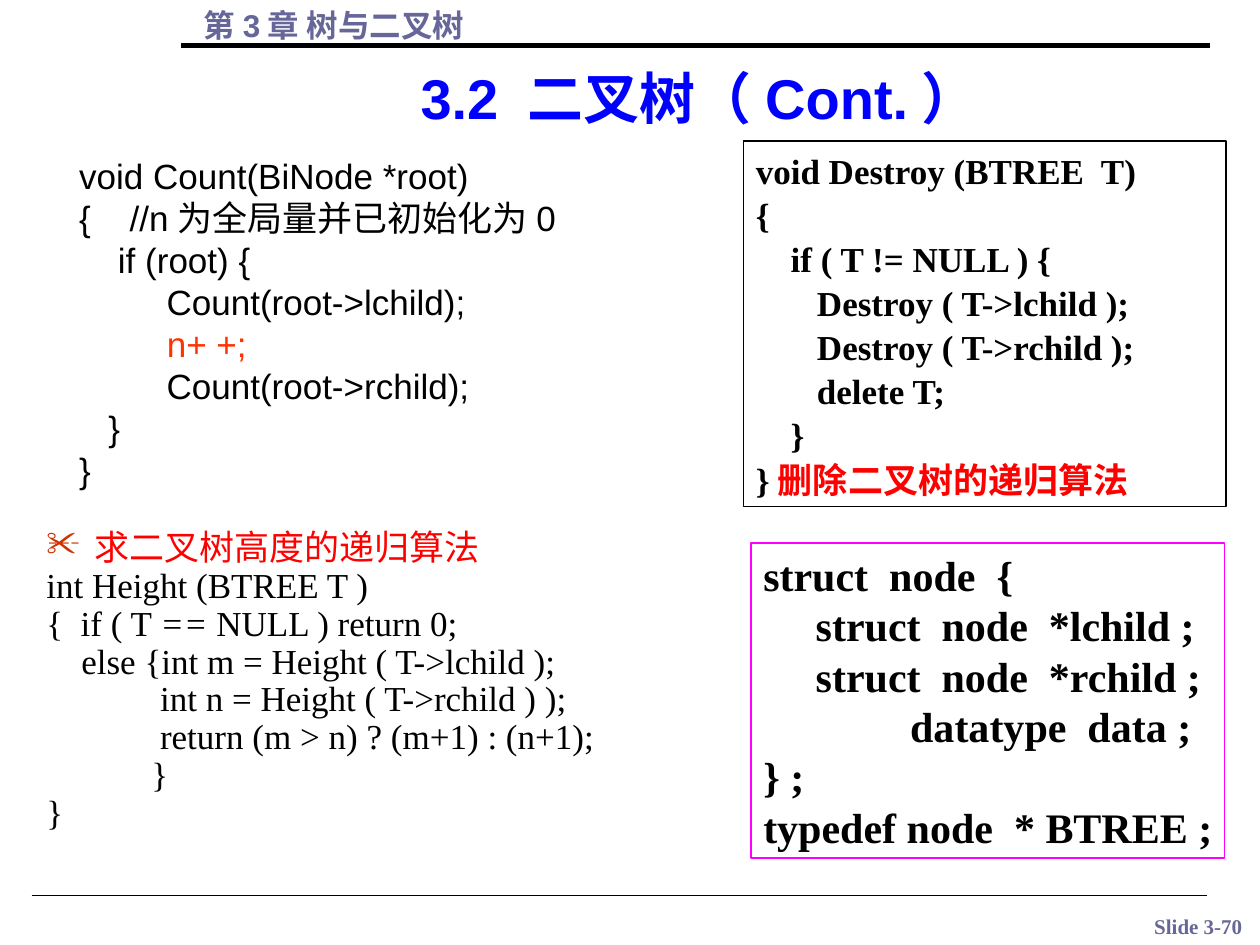
from pptx import Presentation
from pptx import util as u
from pptx.dml.color import RGBColor
from pptx.enum import shapes, text
from pptx.oxml.xmlchemy import OxmlElement

PX = 9144
BLACK = RGBColor(0x00, 0x00, 0x00)
BLUE = RGBColor(0x00, 0x00, 0xFF)
SLATE = RGBColor(0x66, 0x66, 0x99)
RED = RGBColor(0xFF, 0x00, 0x00)
ORANGE = RGBColor(0xFF, 0x33, 0x00)
PINK = RGBColor(0xFF, 0x00, 0xFF)
SERIF, SANS = "Times New Roman", "Arial"

COUNT = [
    "void Count(BiNode *root)",
    "{    //n为全局量并已初始化为0",
    "    if (root) {",
    "         Count(root->lchild);",
    [("         ", {}), ("n+ +;", {"color": ORANGE})],
    "         Count(root->rchild);",
    "   }",
    "}",
]
HEIGHT = [
    [("求二叉树高度的递归算法", {"color": RED})],
    "int Height (BTREE T )",
    [("{  if ( T ", {}), ("==", {"italic": True}), (" NULL ) return 0;", {})],
    "    else {int m = Height ( T->lchild );",
    "             int n = Height ( T->rchild ) );",
    "             return (m > n) ? (m+1) : (n+1);",
    "            }",
    "}",
]
DESTROY = [
    "void Destroy (BTREE  T)",
    "{",
    "    if ( T != NULL ) {",
    "       Destroy ( T->lchild );",
    "       Destroy ( T->rchild );",
    "       delete T;",
    "    }",
    [("}", {}), ("删除二叉树的递归算法", {"name": SANS, "color": RED})],
]
NODE = [
    "struct  node  {",
    "     struct  node  *lchild ;",
    "     struct  node  *rchild ;",
    "              datatype  data ;",
    "} ;",
    "typedef node  * BTREE ;",
]


def style(font, form):
    for key, val in form.items():
        if key == "color":
            font.color.rgb = val
        else:
            setattr(font, key, val)


def look(size, name=SERIF, color=BLACK, bold=False):
    return {"size": u.Pt(size), "name": name, "color": color, "bold": bold}


def hang(para, depth):
    props = para._p.get_or_add_pPr()
    props.set("marL", str(depth * PX))
    props.set("indent", str(-depth * PX))


def mark(para, sign, color):
    props = para._p.get_or_add_pPr()
    tint = OxmlElement("a:buClr")
    rgb = OxmlElement("a:srgbClr")
    rgb.set("val", color)
    tint.append(rgb)
    char = OxmlElement("a:buChar")
    char.set("char", sign)
    props.extend([tint, char])


def write(shape, lines, form, wrap=True, fit=True, depth=0,
          align=text.PP_ALIGN.LEFT, space=1.0, anchor=text.MSO_ANCHOR.TOP):
    frame = shape.text_frame
    frame.word_wrap = wrap
    frame.vertical_anchor = anchor
    frame.auto_size = (text.MSO_AUTO_SIZE.SHAPE_TO_FIT_TEXT if fit
                       else text.MSO_AUTO_SIZE.NONE)
    for num, line in enumerate(lines):
        para = frame.add_paragraph() if num else frame.paragraphs[0]
        para.alignment = align
        para.line_spacing = space
        if depth:
            hang(para, depth)
        for words, extra in [(line, {})] if isinstance(line, str) else line:
            run = para.add_run()
            run.text = words
            style(run.font, {**form, **extra})
    return frame


def label(slide, box, lines, form, **rest):
    shape = slide.shapes.add_textbox(*(n * PX for n in box))
    return write(shape, lines, form, **rest)


def panel(slide, box, lines, form, color, width, **rest):
    shape = slide.shapes.add_shape(shapes.MSO_SHAPE.RECTANGLE,
                                   *(n * PX for n in box))
    shape.shadow.inherit = False
    shape.fill.background()
    shape.line.color.rgb = color
    shape.line.width = u.Pt(width)
    frame = write(shape, lines, form, fit=False, **rest)
    frame.margin_right = 0


def rule(slide, left, top, span, width):
    line = slide.shapes.add_connector(
        shapes.MSO_CONNECTOR.STRAIGHT,
        left * PX, top * PX, (left + span) * PX, top * PX)
    line.line.color.rgb = BLACK
    line.line.width = u.Pt(width)
    line._element.spPr.append(OxmlElement("a:effectLst"))


def header(slide, left, top, span):
    label(slide, (left + 8, top, span - 13, 40), ["第3章 树与二叉树"],
          look(18, SANS, SLATE, True))
    rule(slide, left, top + 36, span, 3)
    label(slide, (left - 8, top + 42, span + 22, 67), ["3.2 二叉树（Cont.）"],
          look(32, SANS, BLUE, True), fit=False,
          align=text.PP_ALIGN.CENTER, anchor=text.MSO_ANCHOR.BOTTOM)


def footer(slide, left, top, span):
    rule(slide, left, top, span, 0.75)
    label(slide, (left + 852, top + 9, 148, 30), ["Slide 3-70"],
          look(12, color=SLATE, bold=True), wrap=False,
          align=text.PP_ALIGN.CENTER)


def height(slide, box):
    frame = label(slide, box, HEIGHT, look(20), fit=False, depth=38, space=0.9)
    mark(frame.paragraphs[0], "✂", "CC3300")


def main():
    deck = Presentation()
    deck.slide_width, deck.slide_height = 1000 * PX, 750 * PX
    slide = deck.slides.add_slide(deck.slide_layouts[6])
    header(slide, 144, 0, 816)
    footer(slide, 25, 711, 933)
    height(slide, (27, 416, 580, 298))
    panel(slide, (596, 431, 376, 250), NODE, look(24, bold=True), PINK, 1)
    panel(slide, (590, 112, 383, 290), DESTROY, look(20, bold=True), BLACK,
          0.75, space=1.05)
    label(slide, (53, 118, 500, 277), COUNT, look(20, SANS), depth=38)
    deck.save("out.pptx")


if __name__ == "__main__":
    main()
